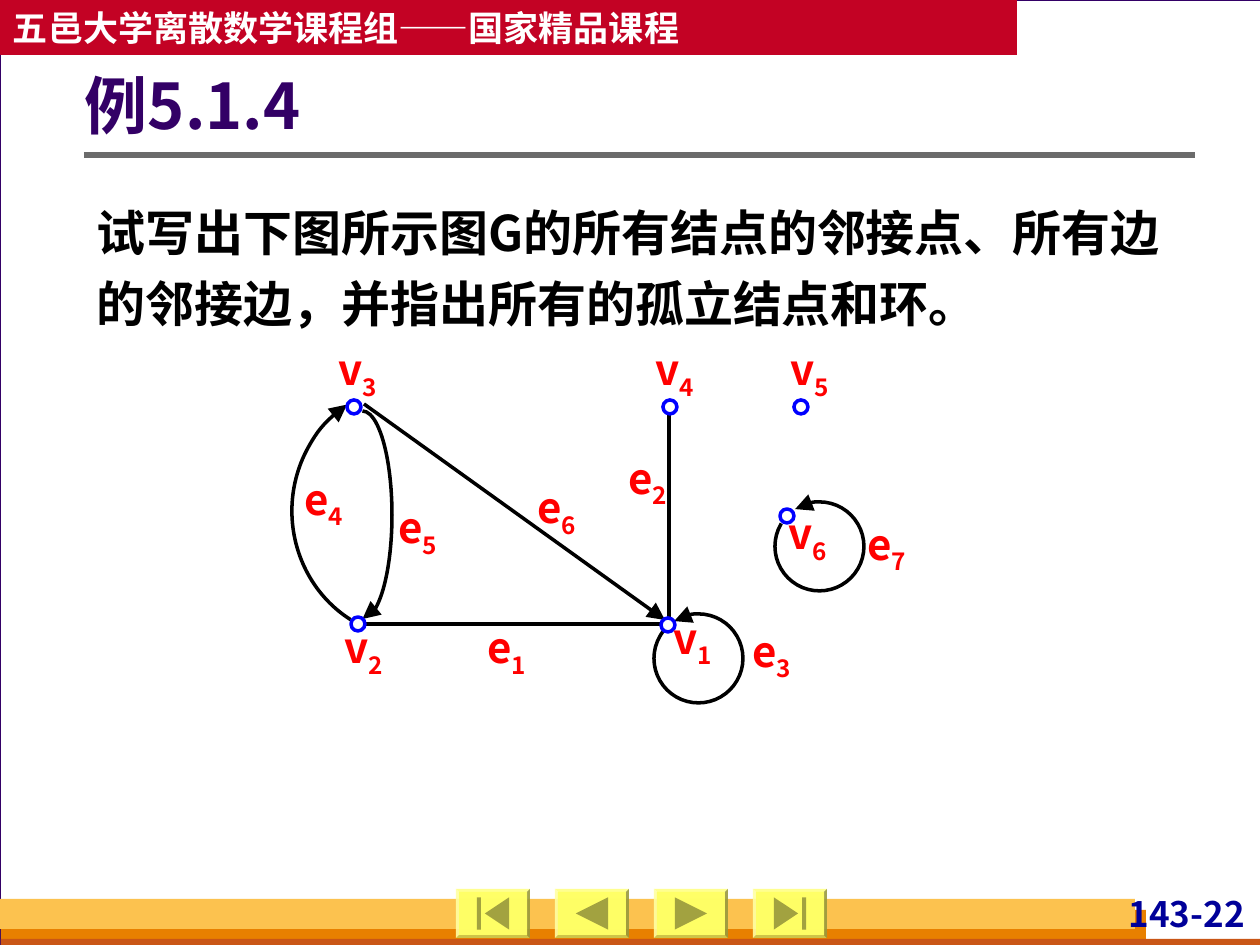
from lxml import etree
from pptx import Presentation
from pptx.dml.color import RGBColor
from pptx.enum import shapes, text
from pptx.oxml.ns import qn
from pptx.util import Emu, Pt

PX = 914400 // 126
FONT = "Noto Sans CJK SC"
KIND = shapes.MSO_SHAPE
PLAIN = KIND.RECTANGLE
ALIGN = text.PP_ALIGN
MID = text.MSO_ANCHOR.MIDDLE

BARS = [
    (0, 0, 1261, 945, "FFFFFF", "330066"),
    (0, 0, 1017, 55, "C30224", None),
    (1, 910, 1145, 35, "E88000", None),
    (1, 939, 1260, 10, "C95616", None),
    (0, 899, 1135, 30, "FCC24F", None),
]
KEYS = [
    KIND.ACTION_BUTTON_BEGINNING,
    KIND.ACTION_BUTTON_BACK_OR_PREVIOUS,
    KIND.ACTION_BUTTON_FORWARD_OR_NEXT,
    KIND.ACTION_BUTTON_END,
]
EDGES = [
    (361, 624, 660, 624, None),
    (669, 408, 669, 617, None),
    (364, 404, 665, 620, "tailEnd"),
]
ARCS = [
    (292, 384, 243, 254, 120, 238, "tailEnd"),
    (333, 411, 59, 208, 270, 90, "tailEnd"),
    (654, 614, 89, 89, 237, 219, "headEnd"),
    (775, 502, 89, 89, 237, 211, "headEnd"),
]
NODES = [(354, 407), (670, 407), (801, 407), (358, 624), (668, 625), (787, 516)]
LABELS = [
    ("v", "1", 693, 612), ("v", "2", 364, 622), ("v", "3", 358, 344),
    ("v", "4", 675, 344), ("v", "5", 810, 344), ("v", "6", 808, 508),
    ("e", "1", 507, 622), ("e", "2", 648, 452), ("e", "3", 772, 625),
    ("e", "4", 324, 473), ("e", "5", 418, 502), ("e", "6", 557, 482),
    ("e", "7", 887, 518),
]

deck = Presentation()
deck.slide_width, deck.slide_height = Emu(1260 * PX), Emu(945 * PX)
slide = deck.slides.add_slide(deck.slide_layouts[6])


def tint(code):
    return RGBColor.from_string(code)


def place(*box):
    return [Emu(n * PX) for n in box]


def shape(kind, box, fill=None, line=None, width=2):
    item = slide.shapes.add_shape(kind, *place(*box))
    item.shadow.inherit = False
    if fill:
        item.fill.solid()
        item.fill.fore_color.rgb = tint(fill)
    else:
        item.fill.background()
    if line:
        item.line.color.rgb = tint(line)
        item.line.width = Pt(width)
    else:
        item.line.fill.background()
    return item


def fade(item):
    paint = item._element.spPr.find(qn("a:solidFill"))[0]
    etree.SubElement(paint, qn("a:alpha"), val="90000")


def tip(item, end):
    if end:
        ln = item.line._get_or_add_ln()
        etree.SubElement(ln, qn("a:" + end), type="triangle", w="lg", len="lg")


def link(x1, y1, x2, y2, color="000000", width=2, end=None):
    item = slide.shapes.add_connector(
        shapes.MSO_CONNECTOR.STRAIGHT, *place(x1, y1, x2, y2))
    item.line.color.rgb = tint(color)
    item.line.width = Pt(width)
    tip(item, end)
    etree.SubElement(item._element.spPr, qn("a:effectLst"))


def write(words, box, size=24, color="FF0000", sub="", align=ALIGN.LEFT,
          space=1, anchor=text.MSO_ANCHOR.TOP, pad=(0, 0, 0, 0), wrap=True):
    frame = slide.shapes.add_textbox(*place(*box)).text_frame
    frame.word_wrap = wrap
    frame.vertical_anchor = anchor
    (frame.margin_left, frame.margin_top,
     frame.margin_right, frame.margin_bottom) = place(*pad)
    para = frame.paragraphs[0]
    para.alignment = align
    para.line_spacing = space
    for part in filter(None, (words, sub)):
        run = para.add_run()
        run.text = part
        font = run.font
        font.name, font.size, font.bold = FONT, Pt(size), True
        font.color.rgb = tint(color)
        props = run._r.get_or_add_rPr()
        etree.SubElement(props, qn("a:ea"), typeface=FONT)
        if part == sub:
            props.set("baseline", "-25000")


for *box, fill, line in BARS:
    shape(PLAIN, box, fill, line, 0.75)
write("五邑大学离散数学课程组——国家精品课程", (0, 0, 1017, 55), size=20,
      color="FFFFFF", anchor=MID, pad=(13, 6, 13, 6), wrap=False)
write("143-22", (1096, 893, 154, 42), size=20, color="000099",
      align=ALIGN.RIGHT, pad=(5, 0, 5, 0))
link(84, 155, 1195, 155, "6B6B6B", 3)

for i, kind in enumerate(KEYS):
    x = 456 + 99 * i
    rim = shape(KIND.BEVEL, (x, 889, 74, 49), "FFFF66")
    rim.adjustments[0] = 0.06
    fade(rim)
    fade(shape(kind, (x + 3, 892, 68, 43), "FFFF66"))

write("例5.1.4", (85, 46, 1111, 127), size=36, color="330066",
      space=0.9, anchor=MID, pad=(0, 6, 13, 6))
write("试写出下图所示图G的所有结点的邻接点、所有边的邻接边，并指出所有的孤立结点和环。",
      (84, 185, 1120, 154), size=28, color="000000",
      space=1.2, pad=(13, 6, 0, 6))

for *ends, end in EDGES:
    link(*ends, end=end)
for *box, start, stop, end in ARCS:
    arc = shape(KIND.ARC, box, line="000000")
    arc.adjustments[0], arc.adjustments[1] = start * 0.6, stop * 0.6
    tip(arc, end)
for x, y in NODES:
    shape(KIND.OVAL, (x - 7, y - 7, 14, 14), "FFFFFF", "0000FF")
for name, sub, x, y in LABELS:
    write(name, (x - 30, y, 60, 58), sub=sub, align=ALIGN.CENTER)

deck.save("out.pptx")
